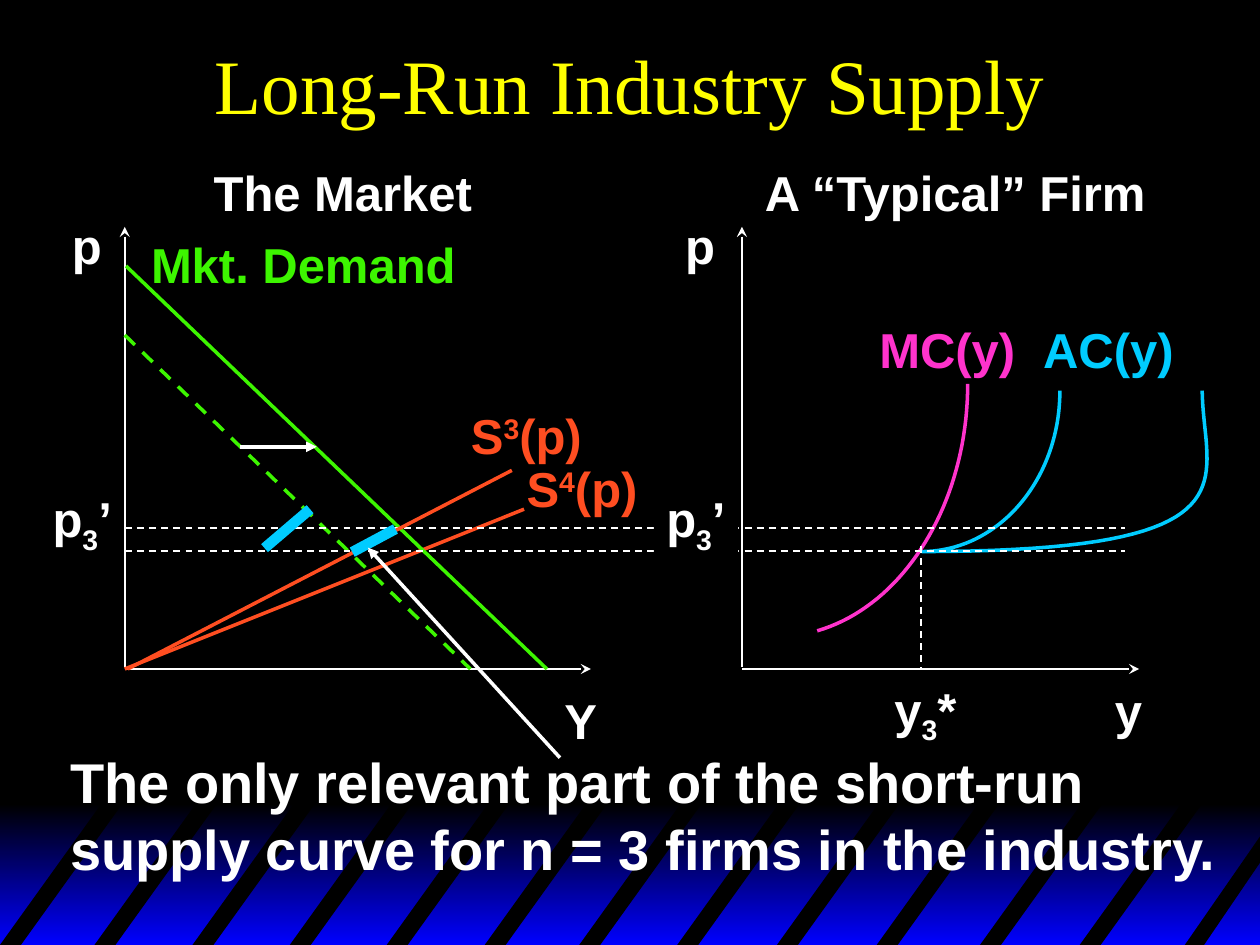
from dataclasses import dataclass
from typing import Optional

from lxml.etree import SubElement
from pptx import Presentation
from pptx.dml.color import RGBColor
from pptx.enum.dml import MSO_LINE_DASH_STYLE as Dash
from pptx.enum.shapes import MSO_CONNECTOR as Connector, MSO_SHAPE as Shape
from pptx.enum.text import MSO_ANCHOR as Anchor, PP_ALIGN as Align
from pptx.oxml.ns import qn
from pptx.util import Pt

COLOURS = {
    "black": "000000", "blue": "0000FF", "white": "FFFFFF", "yellow": "FFFF00",
    "demand": "3DF500", "supply": "FF4E21", "cyan": "00CCFF", "magenta": "FF33CC",
}
Point = tuple[float, float]


@dataclass
class Line:
    start: Point
    end: Point
    colour: str = "white"
    width: float = 2
    dashed: bool = False
    head: Optional[str] = None
    tail: Optional[str] = None


@dataclass
class Curve:
    start: Point
    segments: list[tuple[Point, Point, Point]]
    colour: str


@dataclass
class Label:
    left: float
    top: float
    width: float
    wording: list[tuple[str, int]]  # text and baseline shift in percent
    colour: str = "white"
    size: float = 28
    height: float = 41
    fill: Optional[str] = None
    font: str = "Arial"
    bold: bool = True
    centred: bool = False


def rgb(name: str) -> RGBColor:
    return RGBColor.from_string(COLOURS[name])


def draw_line(shapes, line: Line) -> None:
    sp = shapes.add_connector(Connector.STRAIGHT, *map(Pt, line.start + line.end))
    sp.line.color.rgb = rgb(line.colour)
    sp.line.width = Pt(line.width)
    if line.dashed:
        sp.line.dash_style = Dash.DASH
    ln = sp.line._get_or_add_ln()
    for tag, arrow in (("a:headEnd", line.head), ("a:tailEnd", line.tail)):
        if arrow:
            SubElement(ln, qn(tag), type=arrow)
    SubElement(sp._element.spPr, qn("a:effectLst"))


def draw_path(shapes, points: list[Point], closed: bool):
    scaled = [(Pt(x), Pt(y)) for x, y in points]
    builder = shapes.build_freeform(*scaled[0])
    builder.add_line_segments(scaled[1:], close=closed)
    sp = builder.convert_to_shape()
    sp.shadow.inherit = False
    return sp


def draw_stripe(shapes, points: list[Point]) -> None:
    sp = draw_path(shapes, points, closed=True)
    sp.fill.solid()
    sp.fill.fore_color.rgb = rgb("black")
    sp.line.fill.background()


def bezier(a: Point, b: Point, c: Point, d: Point, t: float) -> Point:
    u = 1 - t
    weights = (u**3, 3 * u * u * t, 3 * u * t * t, t**3)
    x, y = (sum(w * v for w, v in zip(weights, axis)) for axis in zip(a, b, c, d))
    return x, y


def draw_curve(shapes, curve: Curve, steps: int = 40) -> None:
    points = [curve.start]
    for segment in curve.segments:
        origin = points[-1]
        points += [bezier(origin, *segment, i / steps) for i in range(1, steps + 1)]
    sp = draw_path(shapes, points, closed=False)
    sp.fill.background()
    sp.line.color.rgb = rgb(curve.colour)
    sp.line.width = Pt(2)


def draw_label(shapes, label: Label) -> None:
    sp = shapes.add_textbox(*map(Pt, (label.left, label.top, label.width, label.height)))
    if label.fill:
        sp.fill.solid()
        sp.fill.fore_color.rgb = rgb(label.fill)
    tf = sp.text_frame
    tf.word_wrap = label.centred
    p = tf.paragraphs[0]
    if label.centred:
        tf.vertical_anchor = Anchor.MIDDLE
        p.alignment = Align.CENTER
    p.text = label.wording[0][0]
    for text, shift in label.wording[1:]:
        r = p.add_run()
        r.text = text
        if shift:
            r.font._element.set("baseline", str(shift * 1000))
    for r in p.runs:
        r.font.name = label.font
        r.font.size = Pt(label.size)
        r.font.bold = label.bold
        r.font.color.rgb = rgb(label.colour)


def plain(text: str) -> list[tuple[str, int]]:
    return [(text, 0)]


def indexed(base: str, index: str, shift: int, end: str) -> list[tuple[str, int]]:
    return [(base, 0), (index, shift), (end, 0)]


# Shared positions of the two diagrams
MARKET_X, FIRM_X, AXIS_TOP, BASE_Y = 71.3, 424, 129.6, 382.3
HIGH_PRICE, LOW_PRICE, PRICE_END = 301.7, 314.8, 643

AXES = [
    line
    for x, end in ((MARKET_X, 337.7), (FIRM_X, 651))
    for line in (
        Line((x, AXIS_TOP), (x, 381), width=1, head="stealth"),
        Line((x, BASE_Y), (end, BASE_Y), width=1, tail="stealth"),
    )
]
CURVES = [
    Curve((605.7, 223.2), [((605.7, 274.5), (570.3, 315.2), (526.7, 315.2)),
                           ((722.7, 315.2), (687.5, 274.5), (687, 223.2))], "cyan"),
    Curve((553, 219.4), [((553, 287), (517, 346), (467, 360.5))], "magenta"),
]
LINES = [
    Line((526.3, 312), (526.3, BASE_Y), width=1, dashed=True),
    Line((MARKET_X, 191.5), (268.8, BASE_Y), "demand", dashed=True),
    Line((MARKET_X, BASE_Y), (299.5, 291), "supply"),
    Line((72, 152), (312.5, BASE_Y), "demand"),
    Line((137.3, 255.3), (181, 255.3), tail="triangle"),
    *(Line((MARKET_X, y), (PRICE_END, y), width=1, dashed=True)
      for y in (HIGH_PRICE, LOW_PRICE)),
    Line((151.2, 313.2), (177.2, 291), "cyan", 6),
    Line((73, BASE_Y), (292.5, 268.8), "supply"),
    Line((201.3, 315.5), (226, 302.3), "cyan", 6),
    Line((210.3, 313), (320, 433), head="triangle"),
]
LABELS = [
    Label(0, 0, 720, plain("Long-Run Industry Supply"), "yellow", 44, 96,
          font="Times New Roman", bold=False, centred=True),
    Label(115, 89.3, 162, plain("The Market")),
    Label(430, 89.3, 235.5, plain("A “Typical” Firm")),
    Label(34, 119.5, 31.7, plain("p")),
    Label(384.5, 119.5, 31.7, plain("p")),
    Label(79.2, 130.3, 188.6, plain("Mkt. Demand"), "demand"),
    Label(495.4, 179.3, 92, plain("MC(y)"), "magenta"),
    Label(589, 179.3, 89.3, plain("AC(y)"), "cyan"),
    Label(262, 228.2, 77.8, indexed("S", "3", 30, "(p)"), "supply"),
    Label(293.8, 258.5, 77.8, indexed("S", "4", 30, "(p)"), "supply"),
    Label(23, 275.8, 48.2, indexed("p", "3", -25, "’"), height=45.4),
    Label(373.7, 275.8, 48.2, indexed("p", "3", -25, "’"), height=45.4, fill="black"),
    Label(315.4, 391, 33, plain("Y")),
    Label(504, 384.5, 49.7, indexed("y", "3", -25, "*"), height=45.4),
    Label(630, 385.2, 30.2, plain("y")),
    Label(33, 423.4, 672.5, plain("The only relevant part of the short-run\v"
                                  "supply curve for n = 3 firms in the industry."),
          size=32, height=84.2),
]
STRIPE_LEFTS = (0, 54, 110, 165.6, 221, 277, 331, 387, 444, 501, 560, 617)


def main() -> None:
    prs = Presentation()
    prs.slide_width, prs.slide_height = Pt(720), Pt(540)
    s = prs.slides.add_slide(prs.slide_layouts[6])
    s.background.fill.solid()
    s.background.fill.fore_color.rgb = rgb("black")

    # Blue band with slanted black stripes
    band = s.shapes.add_shape(Shape.RECTANGLE, 0, Pt(459.4), Pt(720), Pt(80.6))
    band.shadow.inherit = False
    band.line.fill.background()
    band.fill.gradient()
    band.fill.gradient_angle = 270
    for stop, position, colour in zip(band.fill.gradient_stops, (0, 1), ("black", "blue")):
        stop.position = position
        stop.color.rgb = rgb(colour)
    for x in STRIPE_LEFTS:
        draw_stripe(s.shapes, [(x, 540), (x + 60, 456.5), (x + 72, 456.5), (x + 12, 540)])
    draw_stripe(s.shapes, [(677, 540), (720, 478), (720, 493), (688, 540)])

    # Diagrams, then their labels
    for axis in AXES:
        draw_line(s.shapes, axis)
    for curve in CURVES:
        draw_curve(s.shapes, curve)
    for line in LINES:
        draw_line(s.shapes, line)
    for label in LABELS:
        draw_label(s.shapes, label)

    prs.save("out.pptx")


if __name__ == "__main__":
    main()
